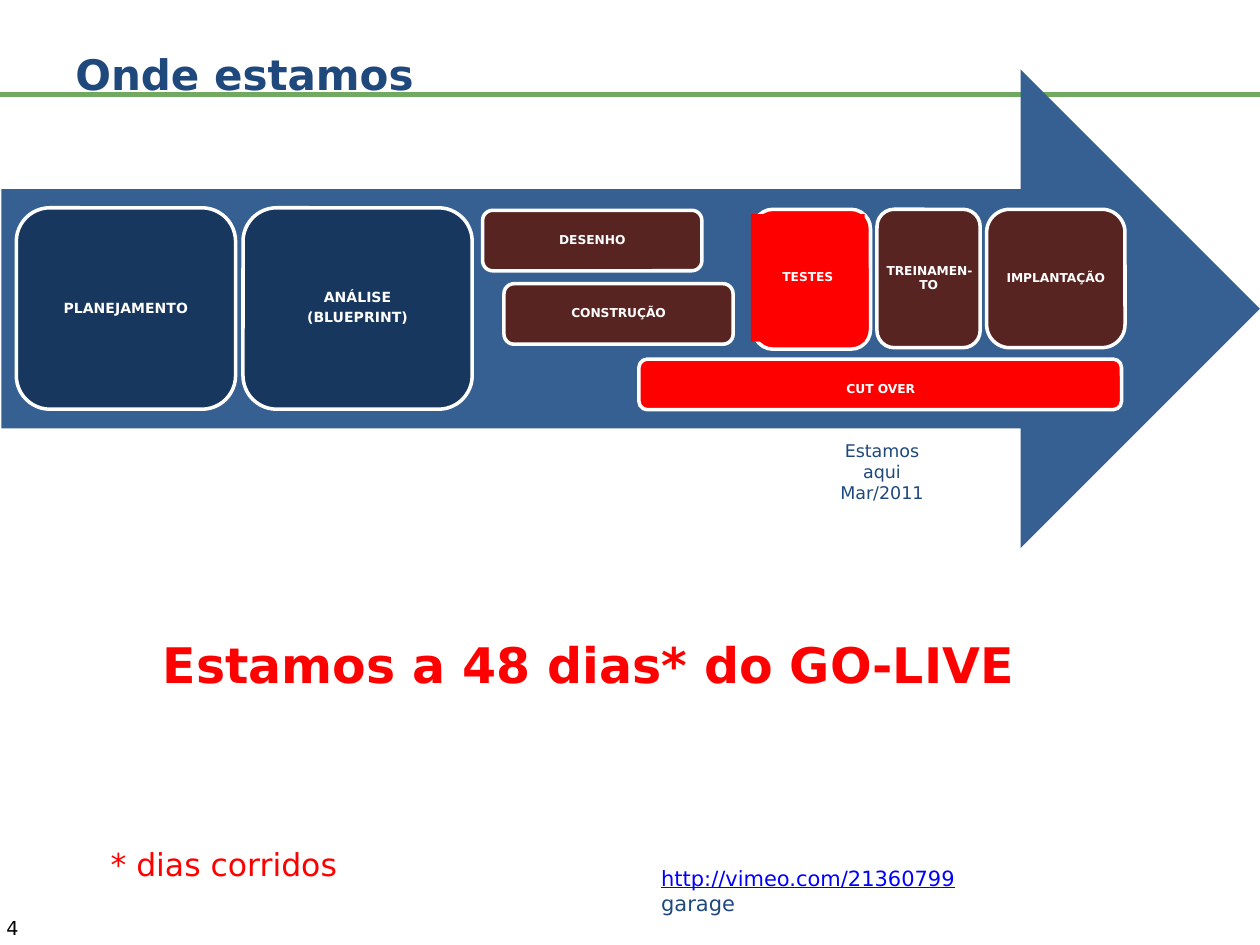
import pptx
import pptx.util
import pptx.dml.color
import pptx.enum.shapes
import pptx.enum.text
import lxml.etree

Cm = pptx.util.Cm
Pt = pptx.util.Pt
SHAPE = pptx.enum.shapes.MSO_SHAPE
ALIGN = pptx.enum.text.PP_ALIGN
ANCHOR = pptx.enum.text.MSO_ANCHOR
FONT = "DejaVu Sans"
COLORS = {
    "white": "FFFFFF", "black": "000000", "green": "70A95F",
    "arrow": "376092", "done": "17375E", "todo": "572422",
    "now": "FF0000", "ink": "1F497D", "link": "0000FF",
}


def rgb(name):
    return pptx.dml.color.RGBColor.from_string(COLORS[name])


def write(tf, text, size, color, bold=False, align=ALIGN.LEFT,
          anchor=ANCHOR.TOP, inset=None, wrap=True):
    tf.text = text
    tf.word_wrap = wrap
    tf.vertical_anchor = anchor
    if inset is not None:
        tf.margin_left = tf.margin_right = Cm(inset)
        tf.margin_top = tf.margin_bottom = Cm(inset)
    for p in tf.paragraphs:
        p.alignment = align
        for r in p.runs:
            r.font.name = FONT
            r.font.size = Pt(size)
            r.font.bold = bold
            r.font.color.rgb = rgb(color)
    return tf


def add_text(s, box, text, size, color, **style):
    sp = s.shapes.add_textbox(*map(Cm, box))
    return write(sp.text_frame, text, size, color, **style)


def add_block(s, kind, box, fill, outlined=False):
    sp = s.shapes.add_shape(kind, *map(Cm, box))
    sp.shadow.inherit = False
    sp.fill.solid()
    sp.fill.fore_color.rgb = rgb(fill)
    if outlined:
        sp.line.color.rgb = rgb("white")
        sp.line.width = Pt(2)
    else:
        sp.line.fill.background()
    return sp


def add_label(sp, text, size):
    tf = write(sp.text_frame, text, size, "white", bold=True,
               align=ALIGN.CENTER, anchor=ANCHOR.MIDDLE, inset=0.05)
    for p in tf.paragraphs:
        p.line_spacing = 0.9
        p.space_after = Pt(size * 0.35)


def add_header(s, box):
    x, y, w, h = box
    rule = s.shapes.add_connector(pptx.enum.shapes.MSO_CONNECTOR.STRAIGHT,
                                  Cm(x), Cm(y + h), Cm(x + w), Cm(y + h))
    rule.line.color.rgb = rgb("green")
    rule.line.width = Pt(3)
    props = rule.element.spPr
    lxml.etree.SubElement(props, pptx.oxml.ns.qn("a:effectLst"))
    add_text(s, (x + 1.27, y + 0.18, 20.32, 1.93), "Onde estamos", 24, "ink",
             bold=True, anchor=ANCHOR.BOTTOM)


def add_phases(s, box):
    x, y, w, h = box
    add_block(s, SHAPE.RIGHT_ARROW, box, "arrow")
    phases = [
        ("PLANEJAMENTO", 8, "done", (0.3, 2.79, 4.42, 4.06), None),
        ("ANÁLISE\n(BLUEPRINT)", 8, "done", (4.87, 2.79, 4.62, 4.06), None),
        ("DESENHO", 7, "todo", (9.7, 2.84, 4.42, 1.22), None),
        ("CONSTRUÇÃO", 7, "todo", (10.13, 4.32, 4.62, 1.22), None),
        ("TESTES", 7, "now", (15.16, 2.82, 2.36, 2.82), (15.11, 2.92, 2.29, 2.57)),
        ("TREINAMEN-TO", 7, "todo", (17.65, 2.82, 2.08, 2.79), None),
        ("IMPLANTAÇÃO", 7, "todo", (19.86, 2.82, 2.79, 2.79), None),
        ("CUT OVER", 7, "now", (12.85, 5.84, 9.73, 1.02), (13.33, 6.09, 8.79, 0.71)),
    ]
    for text, size, fill, (dx, dy, pw, ph), panel in phases:
        sp = add_block(s, SHAPE.ROUNDED_RECTANGLE,
                       (x + dx, y + dy, pw, ph), fill, outlined=True)
        if panel:
            dx, dy, pw, ph = panel
            sp = add_block(s, SHAPE.RECTANGLE, (x + dx, y + dy, pw, ph), fill)
        add_label(sp, text, size)
    add_text(s, (x + 16.48, y + 7.34, 2.54, 1.55), "Estamos aqui Mar/2011", 10,
             "ink", align=ALIGN.CENTER)


def add_countdown(s, box):
    x, y, w, h = box
    add_text(s, (x, y, w, 3.2), "Estamos a 48 dias* do GO-LIVE", 28, "now",
             bold=True, align=ALIGN.CENTER, anchor=ANCHOR.BOTTOM)
    add_text(s, (x + 0.28, y + 6.02, 5.23, 1.02), "* dias corridos", 18, "now",
             wrap=False)


def add_footer(s, box):
    x, y, w, h = box
    tf = add_text(s, (x + 13.08, y, 6.68, 1.27),
                  "http://vimeo.com/21360799\ngarage", 12, "ink", wrap=False)
    r = tf.paragraphs[0].runs[0]
    r.font.underline = True
    r.font.color.rgb = rgb("link")
    add_text(s, (x, y + 1.02, 1.27, 0.74), "4", 11, "black", inset=0.13)


def main():
    prs = pptx.Presentation()
    prs.slide_width = Cm(25.4)
    prs.slide_height = Cm(19.05)
    s = prs.slides.add_slide(prs.slide_layouts[6])
    add_header(s, (0, 0, 25.4, 1.9))
    add_phases(s, (0.03, 1.4, 25.37, 9.65))
    add_countdown(s, (1.7, 10.9, 20.32, 7.04))
    add_footer(s, (0, 17.32, 25.4, 1.73))
    prs.save("out.pptx")


if __name__ == "__main__":
    main()
